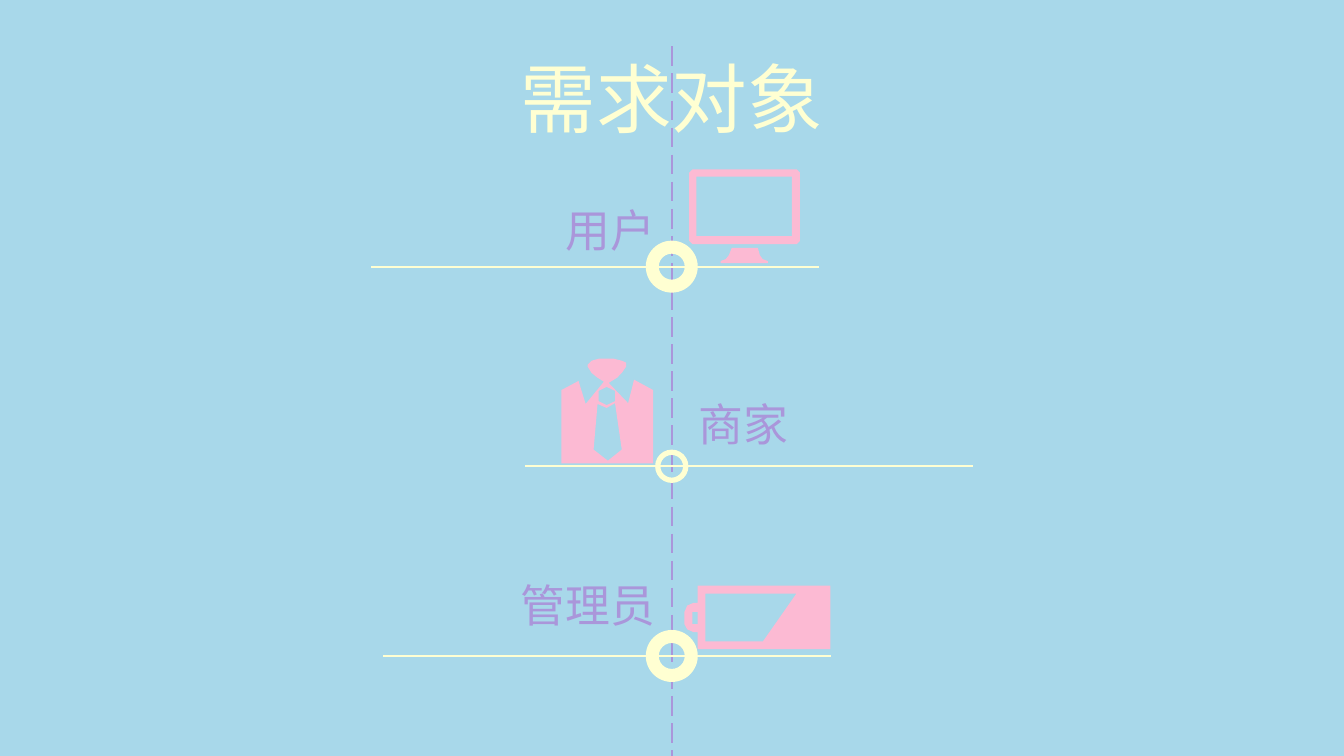
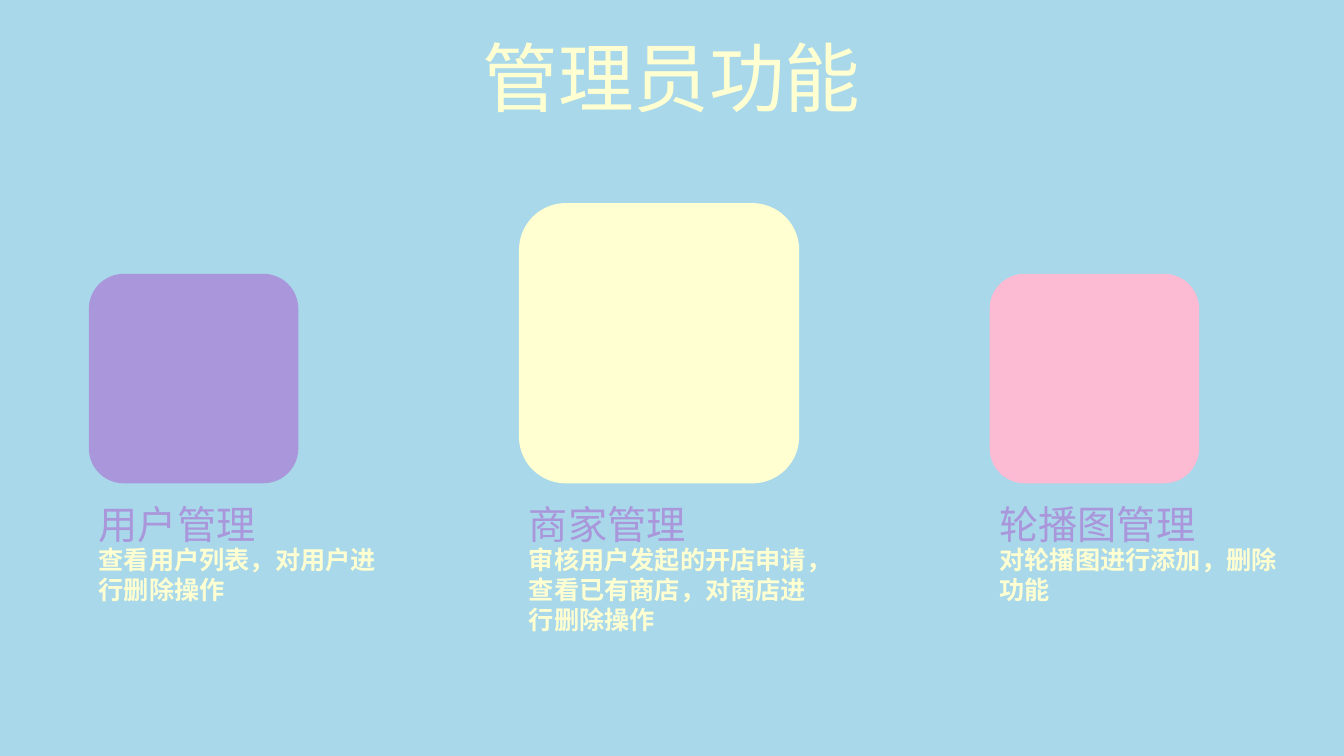
import pptx
import pptx.dml.color
import pptx.enum.dml
import pptx.enum.shapes
import pptx.enum.text
import pptx.oxml
import pptx.oxml.ns
import pptx.util
from pptx.util import Cm

SKY, CREAM, PURPLE, PINK = "A8D8EA", "FFFFD2", "AA96DA", "FCBAD3"
HEADING_FONT, BODY_FONT = "Lato", "Noto Sans CJK SC"
AXIS_X = 16.93
LINE_LENGTH = 11.28
LEFT = pptx.enum.text.PP_ALIGN.LEFT
CENTER = pptx.enum.text.PP_ALIGN.CENTER
RIGHT = pptx.enum.text.PP_ALIGN.RIGHT
SHAPES = pptx.enum.shapes.MSO_SHAPE

MONITOR = [
    [(0.08, 0), (2.71, 0), (2.79, 0.08), (2.79, 1.8), (2.71, 1.88),
     (0.08, 1.88), (0, 1.8), (0, 0.08)],
    [(0.18, 0.18), (0.18, 1.68), (2.59, 1.68), (2.59, 0.18)],
    [(1.07, 1.98), (1.73, 1.98), (1.78, 2.16), (1.85, 2.26), (1.98, 2.31),
     (1.98, 2.36), (0.79, 2.36), (0.79, 2.31), (0.92, 2.26), (1, 2.16)],
]
SHIRT = [
    [(1.83, 0.53), (1.68, 1.12), (1.19, 0.61), (1.4, 0.48), (1.52, 0.36),
     (1.63, 0.2), (1.63, 0.1), (1.52, 0.05), (1.32, 0), (0.94, 0),
     (0.76, 0.05), (0.66, 0.15), (0.66, 0.2), (0.76, 0.36), (0.91, 0.48),
     (1.07, 0.58), (0.61, 1.14), (0.43, 0.56), (0, 0.79), (0, 2.64),
     (2.31, 2.64), (2.31, 0.79)],
    [(1.14, 0.71), (1.35, 0.81), (1.35, 1.07), (1.14, 1.17), (0.94, 1.07),
     (0.94, 0.81)],
    [(1.17, 2.57), (0.81, 2.29), (0.91, 1.14), (1.14, 1.24), (1.35, 1.12),
     (1.52, 2.29)],
]
BATTERY = [
    [(0.33, 0), (3.68, 0), (3.68, 1.6), (0.33, 1.6), (0.33, 1.17),
     (0.23, 1.17), (0.07, 1.1), (0, 0.97), (0, 0.66), (0.07, 0.5),
     (0.23, 0.43), (0.33, 0.43)],
    [(0.2, 0.66), (0.2, 0.97), (0.33, 0.97), (0.33, 0.66)],
    [(0.53, 0.2), (0.53, 1.4), (1.98, 1.4), (2.82, 0.2)],
]


def color(hex_text):
    """Turn a hex string into a colour."""
    return pptx.dml.color.RGBColor.from_string(hex_text)


def write_text(shape, text, *, size, fill, font=HEADING_FONT, bold=False, align=LEFT):
    """Put formatted text into a shape, set from its top edge."""
    frame = shape.text_frame
    frame.word_wrap = True
    frame.auto_size = pptx.enum.text.MSO_AUTO_SIZE.SHAPE_TO_FIT_TEXT
    frame.vertical_anchor = pptx.enum.text.MSO_ANCHOR.TOP
    paragraph = frame.paragraphs[0]
    paragraph.alignment = align
    run = paragraph.add_run()
    run.text = text
    run.font.name = font
    run.font.size = pptx.util.Pt(size)
    run.font.bold = bold
    run.font.color.rgb = color(fill)
    run.font.language_id = pptx.enum.lang.MSO_LANGUAGE_ID.SIMPLIFIED_CHINESE
    east_asian = pptx.oxml.parse_xml(
        f'<a:ea {pptx.oxml.ns.nsdecls("a")} typeface="{HEADING_FONT}"/>')
    run.font._element.find(pptx.oxml.ns.qn("a:latin")).addnext(east_asian)


def add_text(slide, text, left, top, width, height, **style):
    """Add a text box measured in centimetres."""
    box = slide.shapes.add_textbox(Cm(left), Cm(top), Cm(width), Cm(height))
    write_text(box, text, **style)


def add_titled_slide(presentation, title, top):
    """Add a title-only slide with its centred heading."""
    slide = presentation.slides.add_slide(presentation.slide_layouts[5])
    shape = slide.shapes.title
    shape.left, shape.top = Cm(9.33), Cm(top)
    shape.width, shape.height = Cm(15.19), Cm(2.57)
    write_text(shape, title, size=54, fill=CREAM, align=CENTER)
    return slide


def paint(shape, fill):
    """Give a shape a flat fill without outline or shadow."""
    shape.shadow.inherit = False
    shape.fill.solid()
    shape.fill.fore_color.rgb = color(fill)
    shape.line.fill.background()


def add_shape(slide, kind, left, top, size, fill):
    """Add a square-framed preset shape."""
    shape = slide.shapes.add_shape(kind, Cm(left), Cm(top), Cm(size), Cm(size))
    paint(shape, fill)
    return shape


def add_line(slide, start, end, fill, width, dash=None):
    """Add a straight line between two points."""
    line = slide.shapes.add_connector(
        pptx.enum.shapes.MSO_CONNECTOR.STRAIGHT, *map(Cm, start + end))
    line.line.color.rgb = color(fill)
    line.line.width = pptx.util.Pt(width)
    line.line.dash_style = dash
    line._element.spPr.append(
        pptx.oxml.parse_xml(f'<a:effectLst {pptx.oxml.ns.nsdecls("a")}/>'))


def add_icon(slide, contours, left, top):
    """Draw closed contours as one pink icon with cut-outs."""
    builder = None
    for contour in contours:
        first, *rest = [(Cm(left + x), Cm(top + y)) for x, y in contour]
        if builder is None:
            builder = slide.shapes.build_freeform(*first)
        else:
            builder.move_to(*first)
        builder.add_line_segments(rest, close=True)
    paint(builder.convert_to_shape(), PINK)


def add_audience(slide, label, label_left, label_top, align, line_left, line_y,
                 ring_size, ring_weight, icon, icon_left, icon_top):
    """Add one stop on the axis: line, icon, ring and label."""
    add_line(slide, (line_left, line_y), (line_left + LINE_LENGTH, line_y), CREAM, 1.5)
    add_icon(slide, icon, icon_left, icon_top)
    ring = add_shape(slide, SHAPES.DONUT, AXIS_X - ring_size / 2,
                     line_y - ring_size / 2, ring_size, CREAM)
    ring.adjustments[0] = ring_weight
    add_text(slide, label, label_left, label_top, 8.56, 1.63,
             size=32, fill=PURPLE, align=align)


def add_function_card(slide, left, size, fill, heading, description):
    """Add a rounded tile with its heading and description below."""
    add_shape(slide, SHAPES.ROUNDED_RECTANGLE, left, 12.18 - size, size, fill)
    add_text(slide, heading, left, 12.47, 7.06, 1.45, size=28, fill=PURPLE)
    add_text(slide, description, left, 13.59, 8.08, 1.8,
             size=18, fill=CREAM, font=BODY_FONT, bold=True)


def build_audience_slide(presentation):
    """Build the timeline of the three audiences."""
    slide = add_titled_slide(presentation, "需求对象", 1.17)
    add_line(slide, (AXIS_X, 1.17), (AXIS_X, 19.05), PURPLE, 1.75,
             pptx.enum.dml.MSO_LINE.LONG_DASH)
    for audience in (
        ("用户", 8.2, 4.98, RIGHT, 9.35, 6.72, 1.31, 0.25, MONITOR, 17.37, 4.27),
        ("商家", 17.35, 9.88, LEFT, 13.23, 11.75, 0.84, 0.16, SHIRT, 14.15, 9.04),
        ("管理员", 8.2, 14.43, RIGHT, 9.65, 16.53, 1.31, 0.25, BATTERY, 17.25, 14.76),
    ):
        add_audience(slide, *audience)


def build_function_slide(presentation):
    """Build the three cards of administrator functions."""
    slide = add_titled_slide(presentation, "管理员功能", 0.66)
    for card in (
        (2.24, 5.28, PURPLE, "用户管理", "查看用户列表，对用户进行删除操作"),
        (13.08, 7.06, CREAM, "商家管理",
         "审核用户发起的开店申请，查看已有商店，对商店进行删除操作"),
        (24.94, 5.28, PINK, "轮播图管理", "对轮播图进行添加，删除功能"),
    ):
        add_function_card(slide, *card)


def main():
    """Create and save the presentation."""
    presentation = pptx.Presentation()
    presentation.slide_width, presentation.slide_height = Cm(33.87), Cm(19.05)
    background = presentation.slide_master.background.fill
    background.solid()
    background.fore_color.rgb = color(SKY)
    build_audience_slide(presentation)
    build_function_slide(presentation)
    presentation.save("out.pptx")


if __name__ == "__main__":
    import pptx.enum.lang
    main()
